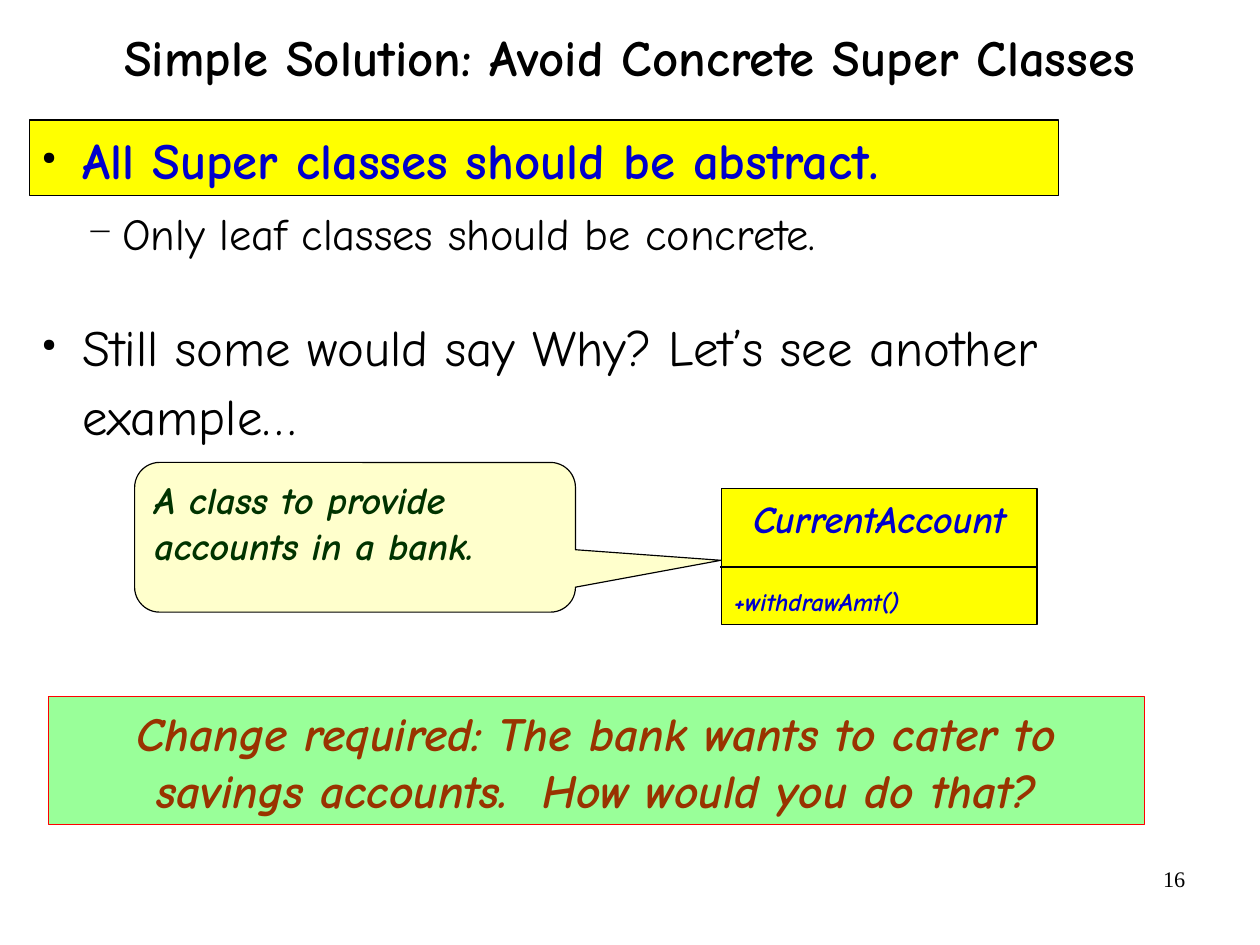
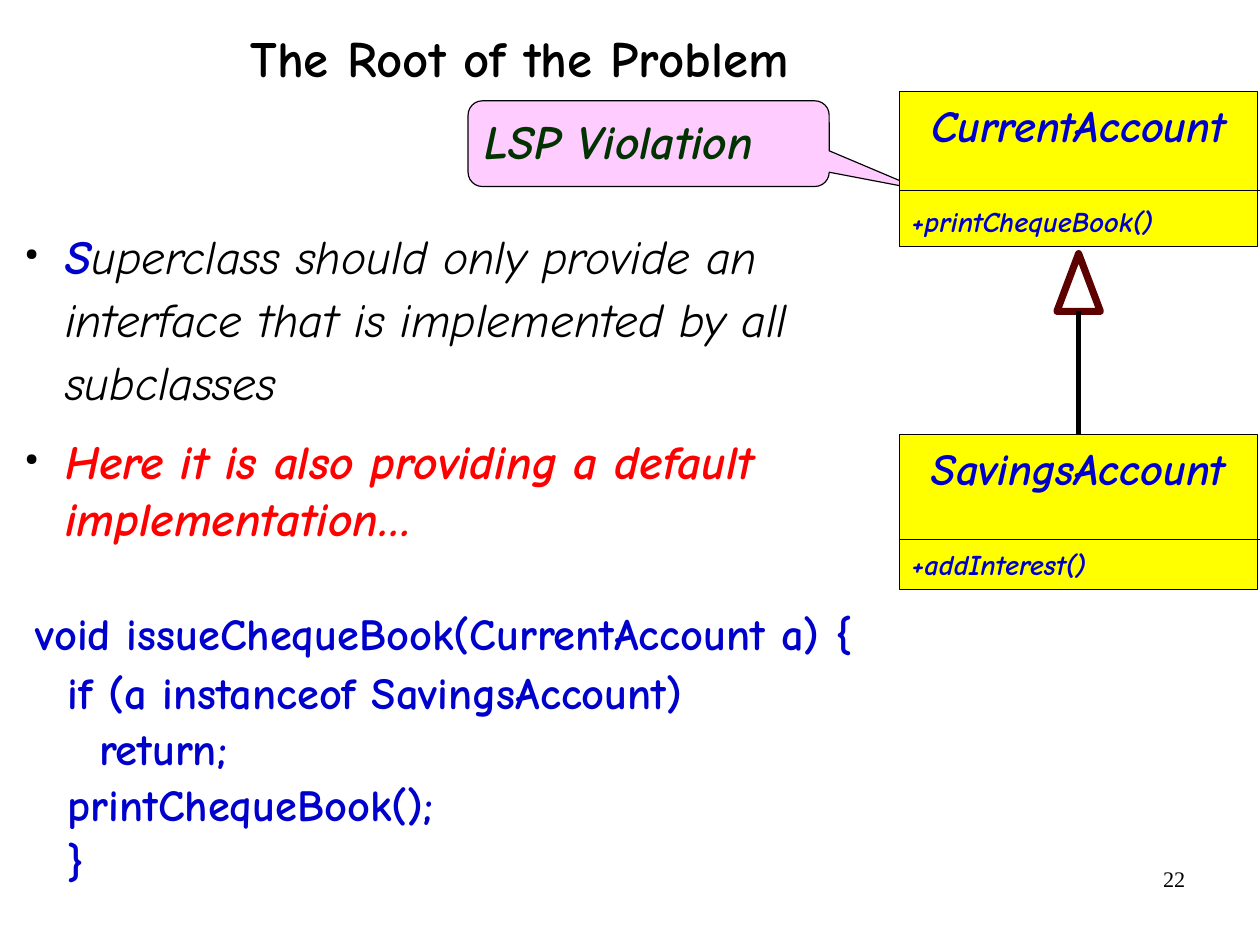
from lxml.etree import SubElement as Sub
from pptx import Presentation
from pptx.dml.color import RGBColor
from pptx.enum.shapes import MSO_CONNECTOR, MSO_SHAPE as Form
from pptx.enum.text import MSO_ANCHOR as Anchor, PP_ALIGN as Align
from pptx.oxml.ns import qn
from pptx.util import Pt

WIDE, HIGH = 793.75, 595.28
BLACK, WHITE, YELLOW = "000000", "FFFFFF", "FFFF00"
BLUE, GREEN, RED = "0000CC", "003300", "FF0000"
INSET = (7.92, 4.32)


def tint(code):
    return RGBColor.from_string(code)


class Deck:
    """Holds the shared style and the slide being filled."""

    face = "Comic Neue"
    thin = 0.75
    leading = 1.18

    def __init__(self):
        self.show = Presentation()
        self.show.slide_width, self.show.slide_height = Pt(WIDE), Pt(HIGH)
        self.slide = None

    def page(self, title, number, left, top, width):
        self.slide = self.show.slides.add_slide(self.show.slide_layouts[6])
        frame = self.box(568.8, 541.8, 185, 41, (7.2, 3.6))
        self.para(frame, number, 14, BLACK, bold=False, align=Align.RIGHT,
                  face="Times New Roman")
        frame = self.box(left, top, width, 75.6)
        frame.vertical_anchor = Anchor.MIDDLE
        self.para(frame, title, 32, BLACK, align=Align.CENTER, lines=0.88)

    def setup(self, frame, inset):
        frame.word_wrap = True
        frame.vertical_anchor = Anchor.TOP
        frame.margin_left = frame.margin_right = Pt(inset[0])
        frame.margin_top = frame.margin_bottom = Pt(inset[1])
        return frame

    def box(self, left, top, width, height, inset=(0, 0)):
        area = self.slide.shapes.add_textbox(Pt(left), Pt(top), Pt(width), Pt(height))
        return self.setup(area.text_frame, inset)

    def shape(self, form, left, top, width, height, fill, edge=BLACK,
              weight=thin, adjust=()):
        item = self.slide.shapes.add_shape(form, Pt(left), Pt(top), Pt(width), Pt(height))
        item.shadow.inherit = False
        item.fill.solid()
        item.fill.fore_color.rgb = tint(fill)
        item.line.color.rgb = tint(edge)
        item.line.width = Pt(weight)
        for spot, value in enumerate(adjust):
            item.adjustments[spot] = value
        return self.setup(item.text_frame, INSET)

    def line(self, x1, y1, x2, y2, weight=thin):
        item = self.slide.shapes.add_connector(
            MSO_CONNECTOR.STRAIGHT, Pt(x1), Pt(y1), Pt(x2), Pt(y2))
        item.line.color.rgb = tint(BLACK)
        item.line.width = Pt(weight)
        Sub(item._element.spPr, qn("a:effectLst"))

    def para(self, frame, text, size, color, bold=True, italic=False, lead="",
             align=Align.LEFT, lines=None, before=0, bullet=None, face=face):
        """Adds a paragraph; lead is a bold blue opening."""
        first = frame.paragraphs[0]
        par = frame.add_paragraph() if first.runs else first
        if bullet:
            self.mark(par, *bullet)
        par.text = lead or text
        if lead:
            par.add_run().text = text
        par.alignment = align
        if lines:
            par.line_spacing = lines
        if before:
            par.space_before = Pt(before)
        for spot, run in enumerate(par.runs):
            opening = lead and spot == 0
            font = run.font
            font.name, font.size = face, Pt(size)
            font.bold = True if opening else bold
            font.italic = italic
            font.color.rgb = tint(BLUE if opening else color)

    def mark(self, par, sign, percent, margin, hang):
        props = par._p.get_or_add_pPr()
        props.set("marL", str(Pt(margin)))
        props.set("indent", str(-Pt(hang)))
        Sub(Sub(props, qn("a:buClr")), qn("a:srgbClr"), val=BLACK)
        Sub(props, qn("a:buSzPct"), val=str(percent * 1000))
        Sub(props, qn("a:buChar"), char=sign)

    def callout(self, text, size, fill, place, adjust):
        frame = self.shape(Form.ROUNDED_RECTANGULAR_CALLOUT, *place, fill, adjust=adjust)
        self.para(frame, text, size, GREEN, italic=True)

    def entity(self, name, method, sizes, place, rule):
        """Draws a class box; rule gives the divider's start, end and drop."""
        frame = self.shape(Form.RECTANGLE, *place, YELLOW)
        self.para(frame, name, sizes[0], BLUE, italic=True, align=Align.CENTER)
        self.para(frame, method, sizes[1], BLUE, italic=True,
                  before=sizes[0] * self.leading)
        start, end, drop = rule
        self.line(start, place[1] + drop, end, place[1] + drop)


DOT = ("●", 35, 33.12, 25.2)
DASH = ("−", 75, 58.32, 22.32)


def advice(deck):
    deck.page("Simple Solution: Avoid Concrete Super Classes", "16", 0, 0, WIDE)
    deck.shape(Form.RECTANGLE, 18.72, 75.6, 648, 47.5, YELLOW)
    body = deck.box(18.72, 75.6, 756, 450)
    deck.para(body, "All Super classes should be abstract.", 32, BLUE,
              lines=1.14, bullet=DOT)
    deck.para(body, "Only leaf classes should be concrete.", 28, BLACK,
              bold=False, lines=1.14, before=6, bullet=DASH)
    deck.para(body, "Still some would say Why? Let’s see another example…", 32,
              BLACK, bold=False, lines=1.14, before=29.8, bullet=DOT)
    change = deck.shape(Form.RECTANGLE, 30.8, 438.8, 690, 80.6, "99FF99", RED)
    deck.para(change, "Change required: The bank wants to cater to savings "
              "accounts.  How would you do that?", 30, "993300", italic=True,
              align=Align.CENTER)
    deck.callout("A class to provide accounts in a bank.", 24, "FFFFCC",
                 (84.8, 291.3, 277.7, 94.3), (0.83, 0.154, 0.167))
    deck.entity("CurrentAccount", "+withdrawAmt()", (24, 16),
                (454.6, 307.8, 198.7, 85.7), (453.6, 653.3, 49.4))


def root(deck):
    deck.page("The Root of the Problem", "22", -10.8, 0.72, 676.8)
    code = deck.box(22.7, 379.8, 740, 180)
    rows = ("void issueChequeBook(CurrentAccount a) {",
            "  if (a instanceof SavingsAccount)",
            "    return;",
            "  printChequeBook();",
            "  }")
    for spot, row in enumerate(rows):
        deck.para(code, row, 28, BLUE, lines=1.05, before=2 if spot == 1 else 0)
    body = deck.box(0, 135, 548.6, 203.8, INSET)
    deck.para(body, "uperclass should only provide an interface that is "
              "implemented by all subclasses", 30, BLACK, bold=False,
              italic=True, lead="S", lines=1.1, bullet=DOT)
    deck.para(body, "Here it is also providing a default implementation…", 30,
              RED, italic=True, before=14, bullet=DOT)
    deck.callout("LSP Violation", 30, "FFCCFF", (294.9, 63.5, 227.5, 54),
                 (0.756, 0.539, 0.167))

    left, width, height = 566.6, 225.4, 97.6
    upper, lower, mid = 57.6, 273.6, 679.5
    for name, method, top, drop in (
            ("CurrentAccount", "+printChequeBook()", upper, 62.4),
            ("SavingsAccount", "+addInterest()", lower, 66.2)):
        deck.entity(name, method, (28, 18), (left, top, width, height),
                    (left, WIDE, drop))
    deck.shape(Form.ISOSCELES_TRIANGLE, mid - 13.7, 159.8, 27.4, 36.4, WHITE,
               "5C0000", 4.5)
    deck.line(mid, 196.2, mid, lower, 3)


def main():
    deck = Deck()
    advice(deck)
    root(deck)
    deck.show.save("out.pptx")


if __name__ == "__main__":
    main()
